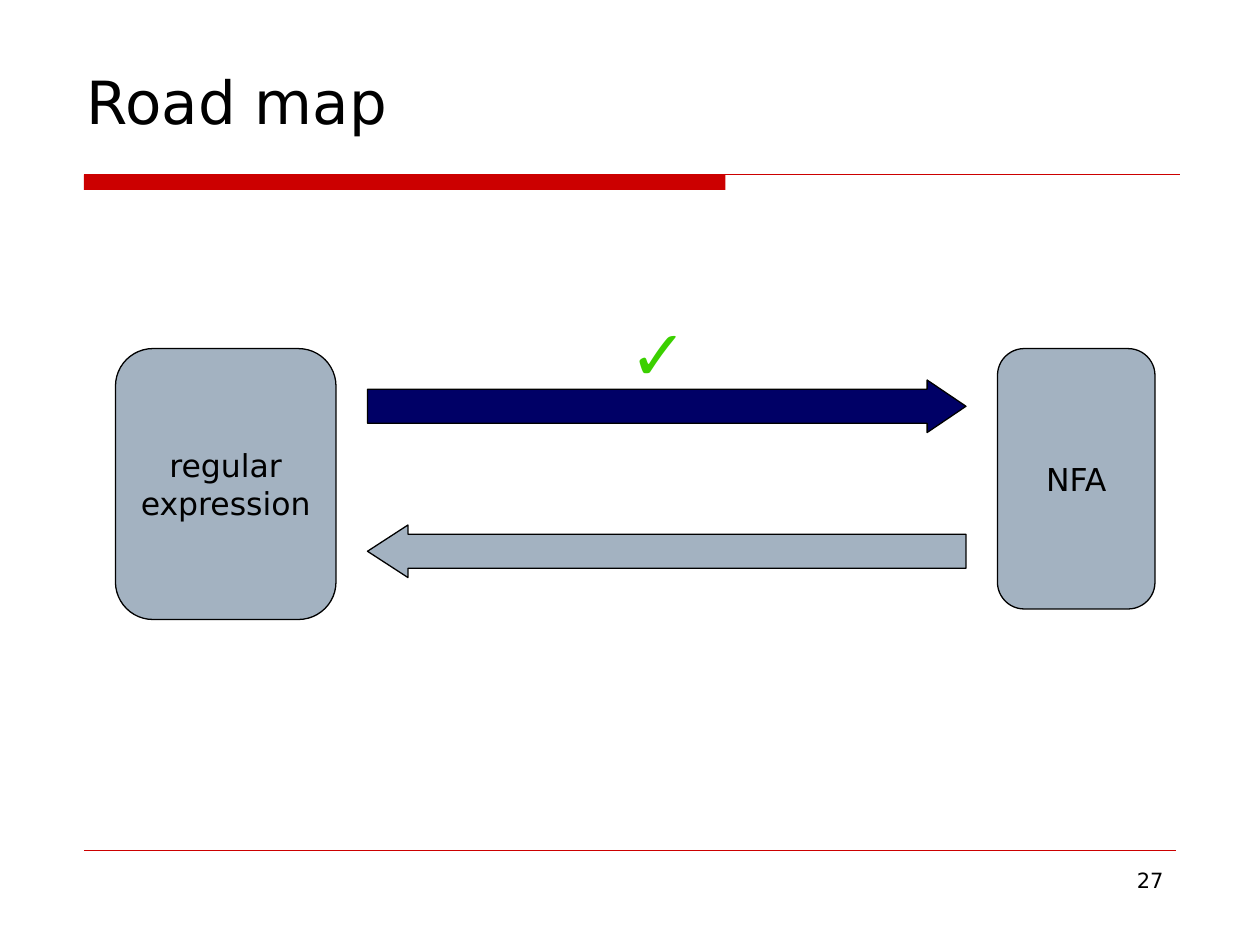
from pptx import Presentation, util as u
from pptx.dml.color import RGBColor
from pptx.enum import shapes, text
from pptx.oxml.ns import qn
from lxml import etree

INK = {"black": "000000", "red": "CC0000", "steel": "A3B2C1",
       "navy": "000066", "green": "3BD000"}
KIND = shapes.MSO_SHAPE
ALIGN = text.PP_ALIGN
MID = text.MSO_ANCHOR.MIDDLE


class Deck:
    """Draws on one slide, with lengths in cells of a 120 by 90 grid."""

    def __init__(self, wide=10, high=7.5, face="DejaVu Sans"):
        self.prs = Presentation()
        self.prs.slide_width = u.Inches(wide)
        self.prs.slide_height = u.Inches(high)
        self.cell = self.prs.slide_width / 120
        self.face = face
        self.slide = self.prs.slides.add_slide(self.prs.slide_layouts[6])

    def grid(self, *cells):
        return [round(c * self.cell) for c in cells]

    def ink(self, name):
        return RGBColor.from_string(INK[name])

    def letter(self, frame, words, size, align, anchor, wrap, color="black", face=None):
        frame.word_wrap = wrap
        frame.vertical_anchor = anchor
        para = frame.paragraphs[0]
        para.text = words
        para.alignment = align
        for run in para.runs:
            run.font.size = u.Pt(size)
            run.font.name = face or self.face
            run.font.color.rgb = self.ink(color)

    def label(self, box, words, size, align=ALIGN.LEFT, anchor=text.MSO_ANCHOR.TOP,
              wrap=True, **style):
        item = self.slide.shapes.add_textbox(*self.grid(*box))
        self.letter(item.text_frame, words, size, align, anchor, wrap, **style)

    def shape(self, kind, box, fill, edge="black", adjust=(), turn=0):
        item = self.slide.shapes.add_shape(kind, *self.grid(*box))
        item.shadow.inherit = False
        item.fill.solid()
        item.fill.fore_color.rgb = self.ink(fill)
        if edge:
            item.line.color.rgb = self.ink(edge)
            item.line.width = u.Pt(0.75)
        else:
            item.line.fill.background()
        for i, value in enumerate(adjust):
            item.adjustments[i] = value
        item.rotation = turn
        return item

    def node(self, box, words):
        item = self.shape(KIND.ROUNDED_RECTANGLE, box, "steel", adjust=[0.17])
        self.letter(item.text_frame, words, 18, ALIGN.CENTER, MID, False)

    def arrow(self, top, fill, head, turn=0):
        self.shape(KIND.RIGHT_ARROW, (35, top, 57, 5), fill,
                   adjust=[0.65, head], turn=turn)

    def rule(self, left, right, row, width):
        ends = self.grid(left, row, right, row)
        item = self.slide.shapes.add_connector(shapes.MSO_CONNECTOR.STRAIGHT, *ends)
        item.line.color.rgb = self.ink("red")
        item.line.width = u.Pt(width)
        etree.SubElement(item._element.spPr, qn("a:effectLst"))


def main():
    deck = Deck()
    deck.shape(KIND.RECTANGLE, (8, 16.64, 61.1, 1.46), "red", edge=None)
    deck.rule(8, 112.4, 16.64, 0.75)
    deck.rule(8, 112, 81, 0.25)
    deck.label((86, 82, 26, 6.2), "27", 12, align=ALIGN.RIGHT)
    deck.label((7.1, 5.3, 109.7, 8.6), "Road map", 34, anchor=MID)
    deck.node((11, 33.2, 21, 25.8), "regular\vexpression")
    deck.node((95, 33.2, 15, 24.8), "NFA")
    deck.arrow(36.2, "navy", 0.74)
    deck.arrow(50, "steel", 0.77, turn=180)
    deck.label((58.8, 29, 7.9, 9.2), "✓", 40, wrap=False, color="green", face="Arial")
    deck.prs.save("out.pptx")


if __name__ == "__main__":
    main()
